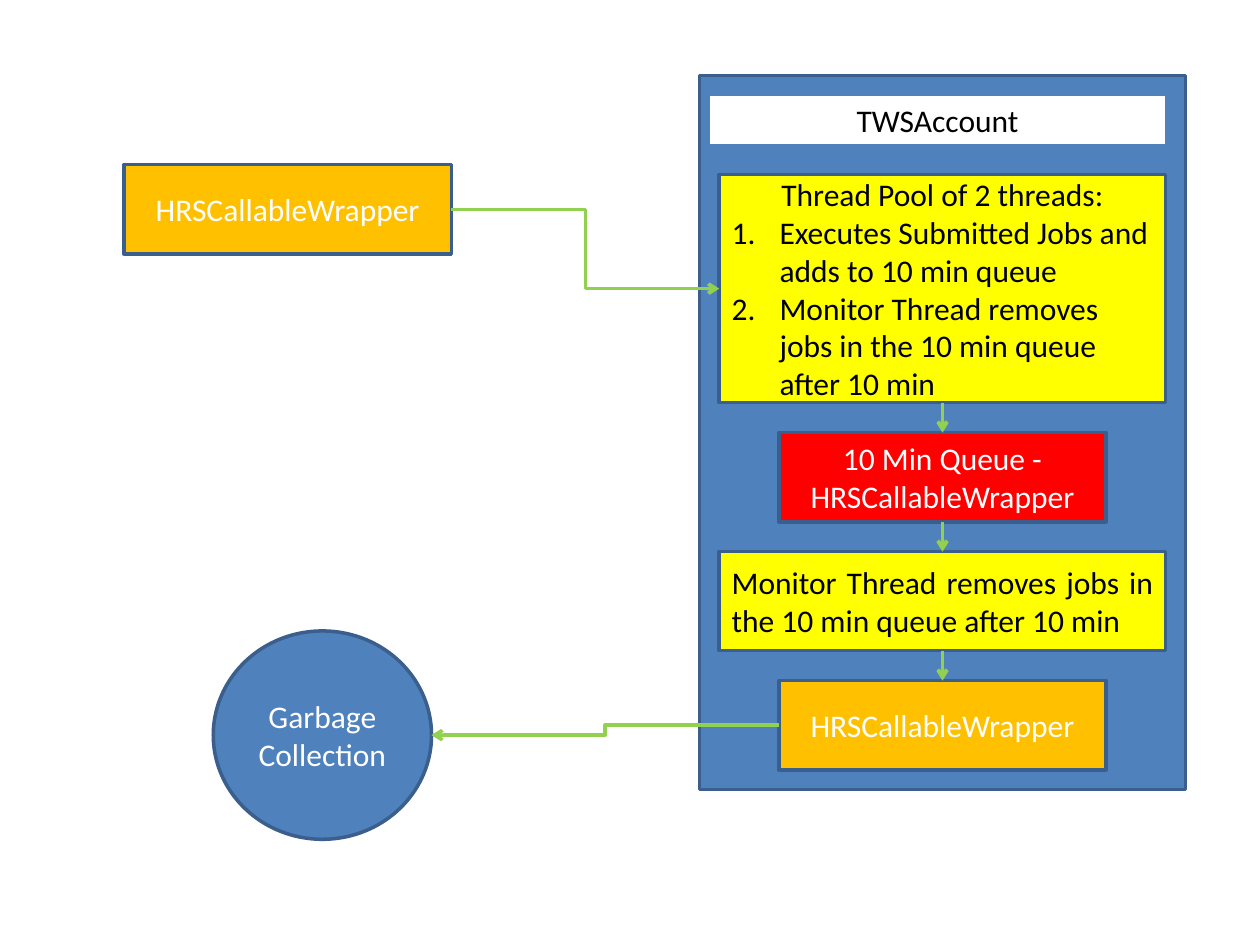
from collections import namedtuple

from lxml import etree
from pptx import Presentation
from pptx.dml.color import RGBColor
from pptx.enum.shapes import MSO_CONNECTOR, MSO_SHAPE
from pptx.enum.text import MSO_ANCHOR, PP_ALIGN
from pptx.oxml.ns import qn
from pptx.util import Inches, Mm, Pt

Box = namedtuple("Box", "col row cols rows")

UNIT = Mm(2)  # one grid column or row
BLUE, EDGE, GREEN = "4F81BD", "3A5F8C", "92D050"
YELLOW, ORANGE, RED = "FFFF00", "FFC000", "FF0000"
BLACK, WHITE = "000000", "FFFFFF"
TOP, LEFT, BOTTOM, RIGHT = range(4)
WRAPPER = "HRSCallableWrapper"


def color(value):
    return RGBColor.from_string(value)


def inside(box, col, row, cols, rows):
    """Box whose column and row count from the corner of another box."""
    return Box(box.col + col, box.row + row, cols, rows)


def add_box(s, box, fill, lines=(), ink=WHITE, align=PP_ALIGN.CENTER,
            kind=MSO_SHAPE.RECTANGLE, edge=EDGE, weight=2):
    sp = s.shapes.add_shape(kind, *(round(n * UNIT) for n in box))
    sp.shadow.inherit = False
    sp.fill.solid()
    sp.fill.fore_color.rgb = color(fill)
    sp.line.color.rgb = color(edge)
    sp.line.width = Pt(weight)
    tf = sp.text_frame
    tf.word_wrap = True
    tf.vertical_anchor = MSO_ANCHOR.MIDDLE
    tf.text = "\n".join(lines)
    for p in tf.paragraphs:
        p.alignment = align
        p.font.name = "Calibri"
        p.font.size = Pt(18)
        p.font.color.rgb = color(ink)
    return sp


def number(p):
    """Turn a paragraph into a left-aligned item of a numbered list."""
    p.alignment = PP_ALIGN.LEFT
    pPr = p._p.get_or_add_pPr()
    pPr.set("marL", str(Inches(0.38)))
    pPr.set("indent", str(-Inches(0.38)))
    bullet = etree.Element(qn("a:buAutoNum"), type="arabicPeriod")
    pPr.insert(0, bullet)


def side_point(sp, side):
    x, y = sp.left + sp.width // 2, sp.top + sp.height // 2
    return {TOP: (x, sp.top), LEFT: (sp.left, y),
            BOTTOM: (x, sp.top + sp.height),
            RIGHT: (sp.left + sp.width, y)}[side]


def add_arrow(s, start, start_side, end, end_side, kind=MSO_CONNECTOR.ELBOW):
    cxn = s.shapes.add_connector(kind, *side_point(start, start_side),
                                 *side_point(end, end_side))
    cxn.begin_connect(start, start_side)
    if end.auto_shape_type == MSO_SHAPE.RECTANGLE:
        cxn.end_connect(end, end_side)
    cxn.line.color.rgb = color(GREEN)
    cxn.line.width = Pt(2)
    etree.SubElement(cxn.line._get_or_add_ln(), qn("a:tailEnd"), type="arrow")
    etree.SubElement(cxn._element.spPr, qn("a:effectLst"))


def add_account(s, box):
    """Place the account panel; return its first and last steps."""
    add_box(s, box, BLUE)
    add_box(s, inside(box, 1, 2, 46, 5), WHITE, ["TWSAccount"], BLACK,
            edge=BLUE, weight=0.75)
    monitor = "Monitor Thread removes jobs in the 10 min queue after 10 min"
    wide, narrow, gap = (2, 45), (8, 33), 3
    plan = [
        (wide, 23, YELLOW, BLACK, PP_ALIGN.CENTER,
         ["Thread Pool of 2 threads:",
          "Executes Submitted Jobs and adds to 10 min queue", monitor]),
        (narrow, 9, RED, WHITE, PP_ALIGN.CENTER, ["10 Min Queue - " + WRAPPER]),
        (wide, 10, YELLOW, BLACK, PP_ALIGN.JUSTIFY, [monitor]),
        (narrow, 9, ORANGE, WHITE, PP_ALIGN.CENTER, [WRAPPER]),
    ]
    steps, row = [], 10
    for (col, cols), rows, fill, ink, align, lines in plan:
        steps.append(add_box(s, inside(box, col, row, cols, rows),
                             fill, lines, ink, align))
        row += rows + gap
    for p in steps[0].text_frame.paragraphs[1:]:
        number(p)
    for upper, lower in zip(steps, steps[1:]):
        add_arrow(s, upper, BOTTOM, lower, TOP, MSO_CONNECTOR.STRAIGHT)
    return steps[0], steps[-1]


def add_flow(s, box):
    """Place the submitted job, the account panel and the collector."""
    pool, done = add_account(s, inside(box, 58, 0, 49, 72))
    job = add_box(s, inside(box, 0, 9, 33, 9), ORANGE, [WRAPPER])
    collector = add_box(s, inside(box, 9, 56, 22, 21), BLUE,
                        ["Garbage Collection"], kind=MSO_SHAPE.OVAL)
    add_arrow(s, job, RIGHT, pool, LEFT)
    add_arrow(s, done, LEFT, collector, RIGHT)


def main():
    prs = Presentation()
    prs.slide_width, prs.slide_height = Inches(10), Inches(7.5)
    s = prs.slides.add_slide(prs.slide_layouts[6])
    add_flow(s, Box(12.5, 7.6, 107, 77))
    prs.save("out.pptx")


if __name__ == "__main__":
    main()
